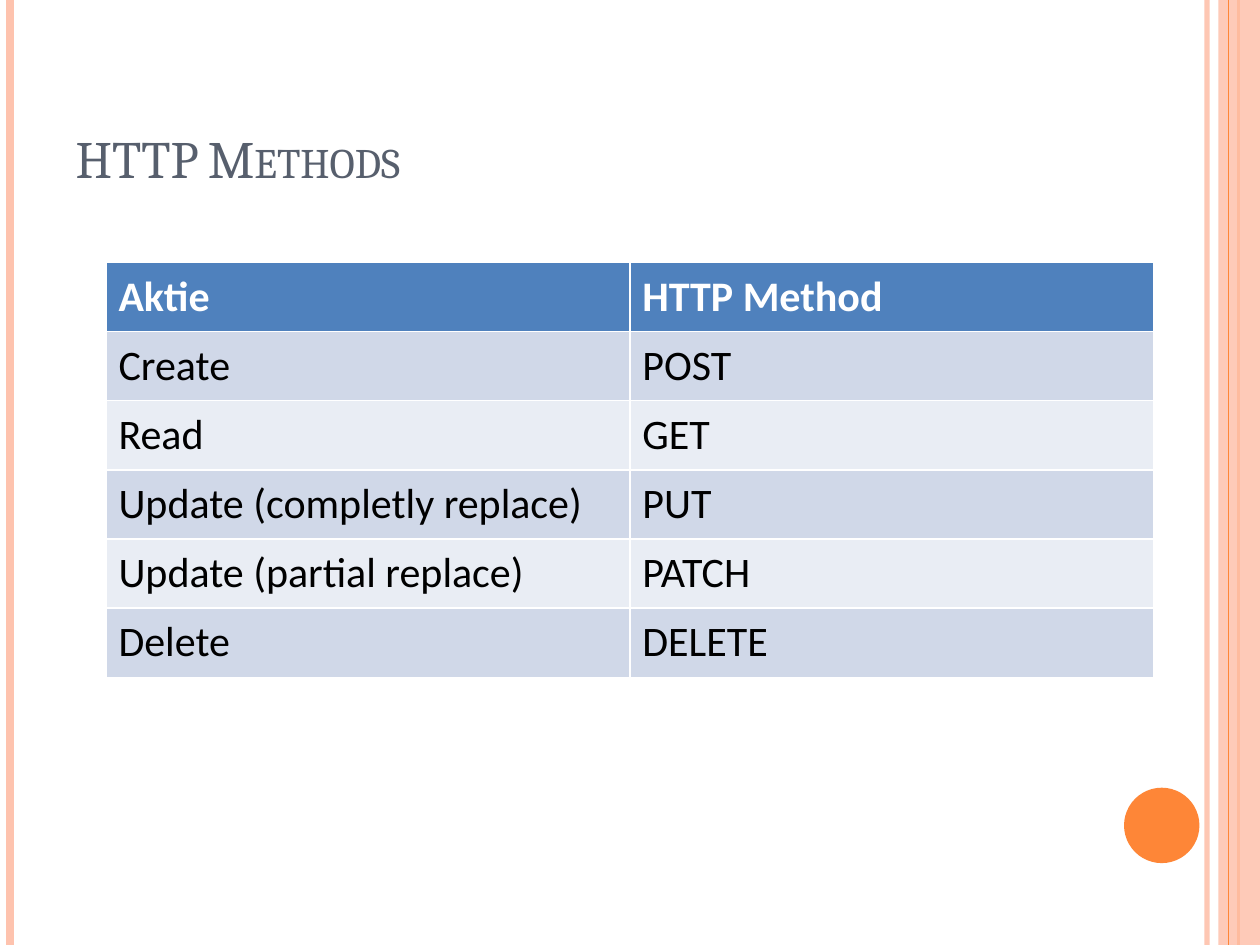
"""Build a slide with a table that maps data actions to HTTP methods."""
from lxml import etree
from pptx import Presentation
from pptx.dml.color import RGBColor
from pptx.enum.shapes import MSO_CONNECTOR, MSO_SHAPE
from pptx.enum.text import MSO_ANCHOR, MSO_AUTO_SIZE, PP_ALIGN
from pptx.oxml.ns import qn
from pptx.util import Cm, Pt

STRAIGHT = MSO_CONNECTOR.STRAIGHT
RECTANGLE, OVAL = MSO_SHAPE.RECTANGLE, MSO_SHAPE.OVAL
BOTTOM, LEFT, NO_FIT = MSO_ANCHOR.BOTTOM, PP_ALIGN.LEFT, MSO_AUTO_SIZE.NONE

WHITE = RGBColor(0xFF, 0xFF, 0xFF)
BLACK = RGBColor(0x00, 0x00, 0x00)
PEACH = RGBColor(0xFE, 0xC3, 0xAE)
ORANGE = RGBColor(0xFE, 0x86, 0x37)
SLATE = RGBColor(0x57, 0x5F, 0x6D)
HEADER_BLUE = RGBColor(0x4F, 0x81, 0xBD)
BANDS = (RGBColor(0xE9, 0xED, 0xF4), RGBColor(0xD0, 0xD8, 0xE8))

TITLE = "HTTP Methods"
ROWS = [
    ("Aktie", "HTTP Method"),
    ("Create", "POST"),
    ("Read", "GET"),
    ("Update (completly replace)", "PUT"),
    ("Update (partial replace)", "PATCH"),
    ("Delete", "DELETE"),
]
WIDTH, HEIGHT = 25.4, 19.05
LINES_BEHIND_BAND = [(24.33, PEACH, 3, 93), (0.21, PEACH, 4.5, 100), (24.97, ORANGE, 1.5, 100)]
LINE_ON_BAND = (24.76, ORANGE, 0.75, 100)
BAND = (RECTANGLE, 24.56, 0, 0.84, HEIGHT, PEACH, 87)
DOT = (OVAL, 22.66, 15.88, 1.52, 1.52, ORANGE, 100)
TABLE_LEFT, TABLE_TOP, COLUMN_WIDTH, ROW_HEIGHT = 2.14, 5.29, 10.56, 1.37


def set_opacity(shape, percent):
    if percent < 100:
        color = next(shape._element.spPr.iter(qn("a:srgbClr")))
        etree.SubElement(color, qn("a:alpha"), val=str(percent * 1000))


def add_vertical_line(slide, x, color, width, opacity):
    line = slide.shapes.add_connector(STRAIGHT, Cm(x), 0, Cm(x), Cm(HEIGHT))
    line.line.color.rgb = color
    line.line.width = Pt(width)
    set_opacity(line, opacity)
    etree.SubElement(line._element.spPr, qn("a:effectLst"))


def add_filled_shape(slide, kind, left, top, width, height, color, opacity):
    shape = slide.shapes.add_shape(kind, Cm(left), Cm(top), Cm(width), Cm(height))
    shape.shadow.inherit = False
    shape.fill.solid()
    shape.fill.fore_color.rgb = color
    shape.line.fill.background()
    set_opacity(shape, opacity)


def add_run(paragraph, text, font_name, size, color, bold=False):
    run = paragraph.add_run()
    run.text = text
    run.font.name = font_name
    run.font.size = Pt(size)
    run.font.color.rgb = color
    run.font.bold = bold
    return run


def fill_title(slide):
    title = slide.shapes.title
    title.left, title.top, title.width, title.height = Cm(1.27), Cm(0.76), Cm(20.75), Cm(3.18)
    frame = title.text_frame
    frame.vertical_anchor = BOTTOM
    frame.auto_size = NO_FIT
    paragraph = frame.paragraphs[0]
    paragraph.alignment = LEFT
    run = add_run(paragraph, TITLE, "Cambria", 30, SLATE)
    run.font._element.set("cap", "small")


def add_method_table(slide):
    columns = len(ROWS[0])
    table = slide.shapes.add_table(
        len(ROWS), columns, Cm(TABLE_LEFT), Cm(TABLE_TOP),
        Cm(COLUMN_WIDTH * columns), Cm(ROW_HEIGHT * len(ROWS))).table
    for row_index, row in enumerate(ROWS):
        is_header = row_index == 0
        for column_index, text in enumerate(row):
            cell = table.cell(row_index, column_index)
            cell.margin_left = cell.margin_right = Cm(0.25)
            cell.margin_top = cell.margin_bottom = Cm(0.18)
            cell.fill.solid()
            cell.fill.fore_color.rgb = HEADER_BLUE if is_header else BANDS[row_index % 2]
            add_run(cell.text_frame.paragraphs[0], text, "Calibri", 24,
                    WHITE if is_header else BLACK, is_header)


def main():
    presentation = Presentation()
    presentation.slide_width, presentation.slide_height = Cm(WIDTH), Cm(HEIGHT)
    slide = presentation.slides.add_slide(presentation.slide_layouts.get_by_name("Title Only"))
    for line in LINES_BEHIND_BAND:
        add_vertical_line(slide, *line)
    add_filled_shape(slide, *BAND)
    add_vertical_line(slide, *LINE_ON_BAND)
    add_filled_shape(slide, *DOT)
    fill_title(slide)
    add_method_table(slide)
    presentation.save("out.pptx")


if __name__ == "__main__":
    main()
